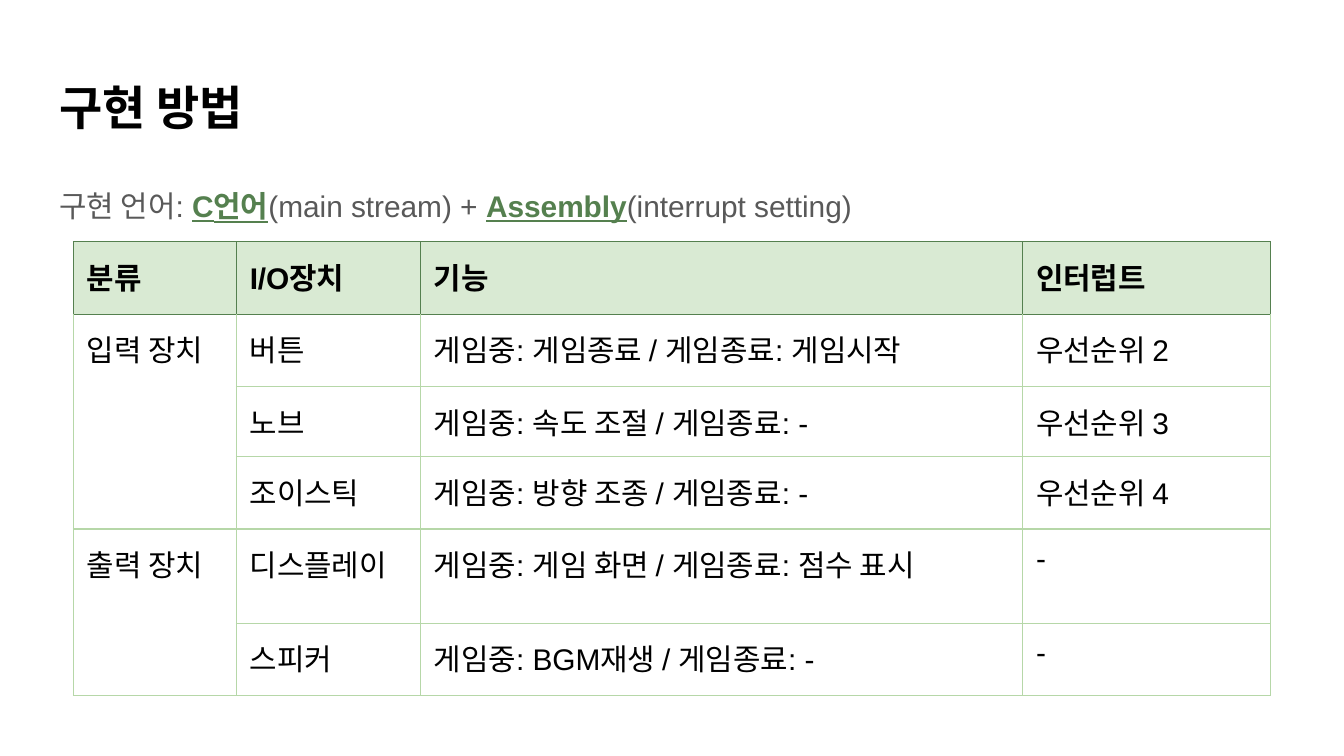
from lxml import etree
from pptx import Presentation
from pptx.dml.color import RGBColor
from pptx.oxml.ns import qn
from pptx.util import Cm, Pt

FONT = "Arial"
BLACK, GRAY, GREEN = "000000", "595959", "55804F"
LIGHT, PALE = "B6D7A8", "D9EAD3"
PAD = Cm(0.25)

TITLE = "구현 방법"
INTRO = [
    ("구현 언어: ", False),
    ("C언어", True),
    ("(main stream) + ", False),
    ("Assembly", True),
    ("(interrupt setting)", False),
]
HEAD = ["분류", "I/O장치", "기능", "인터럽트"]
GROUPS = [
    ("입력 장치", [
        ("버튼", "게임중: 게임종료 / 게임종료: 게임시작", "우선순위 2"),
        ("노브", "게임중: 속도 조절 / 게임종료: -", "우선순위 3"),
        ("조이스틱", "게임중: 방향 조종 / 게임종료: -", "우선순위 4"),
    ]),
    ("출력 장치", [
        ("디스플레이", "게임중: 게임 화면 / 게임종료: 점수 표시", "-"),
        ("스피커", "게임중: BGM재생 / 게임종료: -", "-"),
    ]),
]
WIDTHS = [3.08, 3.48, 11.38, 4.68]
HEIGHTS = [1.37, 1.37, 1.32, 1.37, 1.78, 1.37]


def color(code):
    return RGBColor.from_string(code)


def style(font, size, code, bold=False):
    font.name = FONT
    font.size = Pt(size)
    font.bold = bold
    font.color.rgb = color(code)


def pad(item):
    item.margin_left = item.margin_right = PAD
    item.margin_top = item.margin_bottom = PAD


def add_box(slide, top, height):
    frame = slide.shapes.add_textbox(Cm(0.87), Cm(top), Cm(23.67), Cm(height)).text_frame
    frame.word_wrap = True
    pad(frame)
    return frame.paragraphs[0]


def add_line(cell, side, code):
    props = cell._tc.get_or_add_tcPr()
    line = etree.SubElement(props, qn("a:ln" + side), w=str(Pt(0.75)))
    fill = etree.SubElement(line, qn("a:solidFill"))
    etree.SubElement(fill, qn("a:srgbClr"), val=code)


def add_grid(slide):
    rows = [HEAD]
    spans = []
    for name, items in GROUPS:
        spans.append((len(rows), len(rows) + len(items) - 1))
        rows += [(name if i == 0 else "", *item) for i, item in enumerate(items)]
    table = slide.shapes.add_table(
        len(rows), len(HEAD), Cm(1.39), Cm(4.57), Cm(sum(WIDTHS)), Cm(sum(HEIGHTS))
    ).table
    table.first_row = table.horz_banding = False
    for col, width in zip(table.columns, WIDTHS):
        col.width = Cm(width)
    for r, (row, height) in enumerate(zip(rows, HEIGHTS)):
        table.rows[r].height = Cm(height)
        for c, text in enumerate(row):
            cell = table.cell(r, c)
            pad(cell)
            cell.text = text
            style(cell.text_frame.paragraphs[0].font, 16, BLACK, r == 0)
            for side in "LRTB":
                dark = r == 0 or (r == 1 and side == "T")
                add_line(cell, side, GREEN if dark else LIGHT)
            if r == 0:
                cell.fill.solid()
                cell.fill.fore_color.rgb = color(PALE)
            else:
                cell.fill.background()
    for first, last in spans:
        table.cell(first, 0).merge(table.cell(last, 0))


def main():
    deck = Presentation()
    deck.slide_width, deck.slide_height = Cm(25.4), Cm(14.29)
    slide = deck.slides.add_slide(deck.slide_layouts[6])
    title = add_box(slide, 1.24, 1.6)
    title.text = TITLE
    style(title.font, 25.2, BLACK, True)
    intro = add_box(slide, 3.2, 1.37)
    intro.line_spacing = 1.15
    for text, key in INTRO:
        run = intro.add_run()
        run.text = text
        style(run.font, 16, GREEN if key else GRAY, key)
        run.font.underline = key
    add_grid(slide)
    deck.save("out.pptx")


if __name__ == "__main__":
    main()
